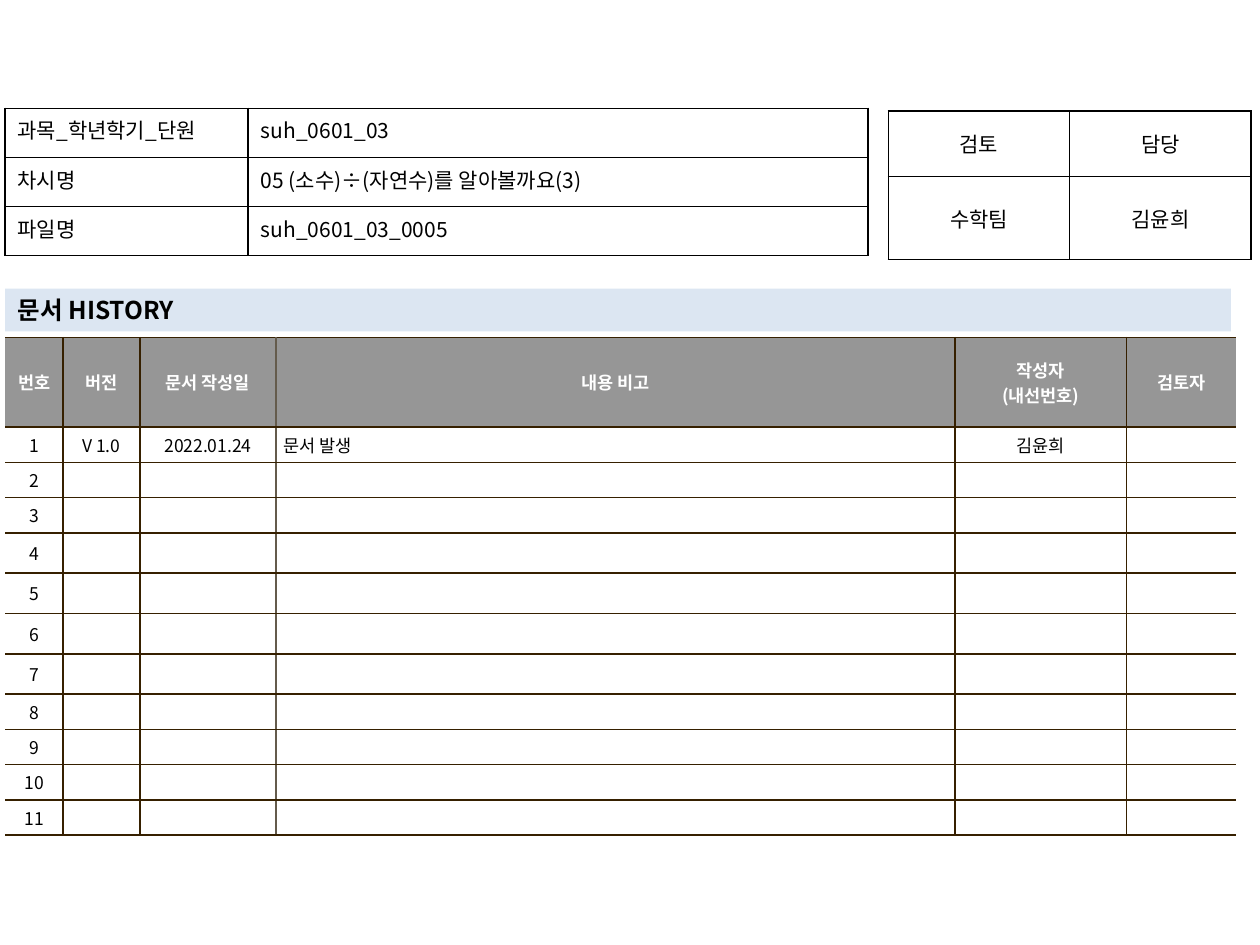
"""Build a storyboard cover slide with file details, sign-off and document history."""
from dataclasses import dataclass

from lxml import etree
from pptx import Presentation
from pptx import util as u
from pptx.dml.color import RGBColor
from pptx.enum import text
from pptx.oxml.ns import qn

COLS, ROWS = 1000, 750
UNIT = u.Inches(0.01)
FONT = "Noto Sans CJK KR"
HUES = {"ink": "000000", "paper": "FFFFFF", "head": "969696",
        "bar": "DCE6F2", "rule": "362000", "soft": "645B4C"}
LEFT, MID, JUST = text.PP_ALIGN.LEFT, text.PP_ALIGN.CENTER, text.PP_ALIGN.JUSTIFY
TOP, HALF = text.MSO_ANCHOR.TOP, text.MSO_ANCHOR.MIDDLE


@dataclass
class Grid:
    """A table, with its lengths in grid columns and rows."""
    left: int
    top: int
    wide: list[int]
    high: list[int]
    words: list[list[str]]
    align: list
    size: int = 12
    rule: str = "ink"
    pad: tuple = (10, 5)
    anchor: object = HALF
    head: bool = False
    open: bool = False
    soft: int = 0
    hang: int = 0


def span(count: int) -> int:
    """Turn a count of grid units into a length."""
    return u.Emu(count * UNIT)


def hue(name: str) -> RGBColor:
    """Look up a colour by its name."""
    return RGBColor.from_string(HUES[name])


def write(frame, words: str, *, size: int, color: str = "ink", bold: bool = False,
          align=LEFT, hang: int = 0) -> None:
    """Write each line as a formatted paragraph."""
    frame.text = words
    for para in frame.paragraphs:
        para.alignment = align
        if hang:
            props = para._p.get_or_add_pPr()
            props.set("marL", str(span(hang)))
            props.set("indent", str(-span(hang)))
        if not para.runs:
            para._p.get_or_add_endParaRPr().set("sz", str(size * 100))
        for run in para.runs:
            font = run.font
            font.size, font.bold, font.name = u.Pt(size), bold, FONT
            font.color.rgb = hue(color)
            etree.SubElement(run._r.get_or_add_rPr(), qn("a:ea"), typeface=FONT)


def edge(cell, side: str, color: str | None) -> None:
    """Draw one border of a cell, or clear it when no colour is given."""
    line = etree.SubElement(cell._tc.get_or_add_tcPr(), qn(f"a:ln{side}"), w=str(u.Pt(1)))
    if color:
        fill = etree.SubElement(line, qn("a:solidFill"))
        etree.SubElement(fill, qn("a:srgbClr"), val=HUES[color])
    else:
        etree.SubElement(line, qn("a:noFill"))


def draw(slide, grid: Grid) -> None:
    """Draw a table with its borders, fills and text."""
    rows, cols = len(grid.high), len(grid.wide)
    table = slide.shapes.add_table(
        rows, cols, span(grid.left), span(grid.top),
        span(sum(grid.wide)), span(sum(grid.high))).table
    table.first_row = grid.head
    table.horz_banding = False
    for col, wide in zip(table.columns, grid.wide):
        col.width = span(wide)
    tints = [grid.rule] * (cols + 1)
    if grid.open:
        tints[0] = tints[-1] = None
    if grid.soft:
        tints[grid.soft] = "soft"
    for r, high in enumerate(grid.high):
        table.rows[r].height = span(high)
        top = grid.head and r == 0
        for c, words in enumerate(grid.words[r]):
            cell = table.cell(r, c)
            cell.margin_left = cell.margin_right = span(grid.pad[0])
            cell.margin_top = cell.margin_bottom = span(grid.pad[1])
            cell.vertical_anchor = grid.anchor
            for side, tint in zip("LRTB", (tints[c], tints[c + 1], grid.rule, grid.rule)):
                edge(cell, side, tint)
            cell.fill.solid()
            cell.fill.fore_color.rgb = hue("head" if top else "paper")
            align = MID if top else grid.align[c]
            write(cell.text_frame, words, size=grid.size, bold=top, align=align,
                  color="paper" if top else "ink",
                  hang=grid.hang if align == LEFT else 0)


def title(slide, words: str) -> None:
    """Place the title as a tinted bar."""
    bar = slide.shapes.title
    bar.left, bar.top, bar.width, bar.height = map(span, (4, 229, 973, 34))
    bar.fill.solid()
    bar.fill.fore_color.rgb = hue("bar")
    frame = bar.text_frame
    frame.auto_size = text.MSO_AUTO_SIZE.NONE
    frame.vertical_anchor = HALF
    write(frame, words, size=14, bold=True)


FILE = Grid(4, 86, [193, 492], [39] * 3, [
    ["과목_학년학기_단원", "suh_0601_03"],
    ["차시명", "05 (소수)÷(자연수)를 알아볼까요(3)"],
    ["파일명", "suh_0601_03_0005"],
], [JUST, LEFT], anchor=TOP)
SIGN = Grid(705, 88, [144] * 2, [52, 66],
            [["검토", "담당"], ["수학팀", "김윤희"]], [MID] * 2)
LOG = Grid(4, 268, [46, 61, 108, 539, 136, 87],
           [71] + [28] * 3 + [32] * 4 + [28] * 4,
           [["번호", "버전", "문서 작성일", "내용 비고", "작성자\n(내선번호)", "검토자"],
            ["1", "V 1.0", "2022.01.24", "문서 발생", "김윤희", ""],
            *([str(n)] + [""] * 5 for n in range(2, 12))],
           [MID] * 3 + [LEFT] + [MID] * 2, size=10, rule="rule", pad=(6, 4),
           head=True, open=True, soft=3, hang=19)


def main() -> None:
    """Build and save the slide."""
    deck = Presentation()
    deck.slide_width, deck.slide_height = span(COLS), span(ROWS)
    slide = deck.slides.add_slide(deck.slide_layouts[5])
    title(slide, "문서 HISTORY")
    for grid in (LOG, SIGN, FILE):
        draw(slide, grid)
    deck.save("out.pptx")


if __name__ == "__main__":
    main()
